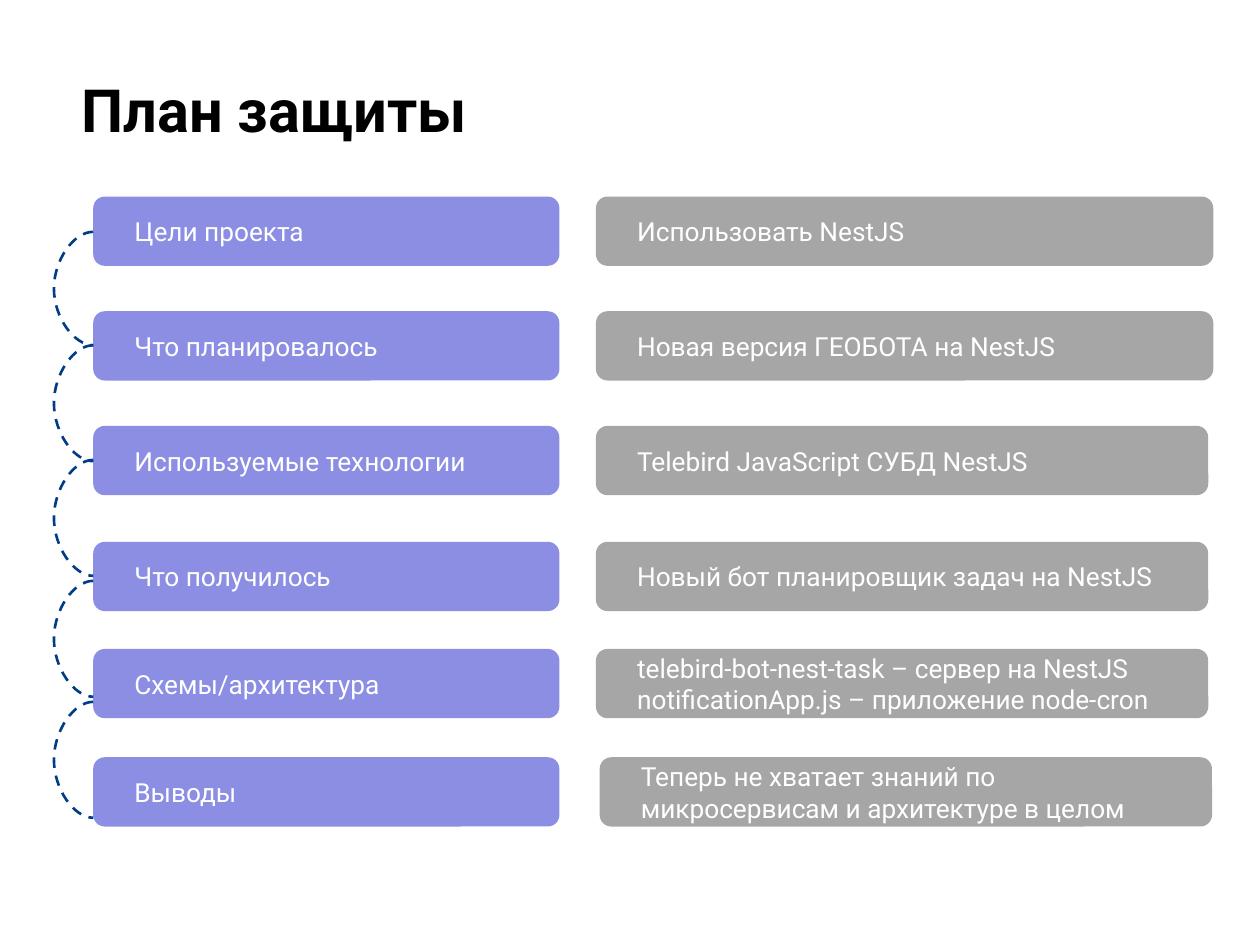
from pptx import Presentation
from pptx.dml.color import RGBColor
from pptx.enum.dml import MSO_LINE
from pptx.enum.shapes import MSO_CONNECTOR, MSO_SHAPE
from pptx.enum.text import MSO_ANCHOR, PP_ALIGN
from pptx.oxml.ns import qn
from pptx.util import Emu, Inches, Pt
from lxml import etree

CURVE = MSO_CONNECTOR.CURVE
ROUNDED = MSO_SHAPE.ROUNDED_RECTANGLE
DASH = MSO_LINE.DASH
TOP, MIDDLE = MSO_ANCHOR.TOP, MSO_ANCHOR.MIDDLE
LEFT = PP_ALIGN.LEFT

FONT = "Roboto"
PURPLE, GREY, NAVY = "8B8EE3", "A6A6A6", "013D85"
CARD_H = 0.55
TOPIC_X, TOPIC_W = 0.74, 3.7

# top, topic, answer, answer left, answer width
ROWS = [
    (1.56, "Цели проекта", "Использовать NestJS", 4.73, 4.9),
    (2.47, "Что планировалось", "Новая версия ГЕОБОТА на NestJS", 4.73, 4.9),
    (3.38, "Используемые технологии", "Telebird JavaScript СУБД NestJS", 4.73, 4.86),
    (4.3, "Что получилось", "Новый бот планировщик задач на NestJS", 4.73, 4.86),
    (5.15, "Схемы/архитектура",
     "telebird-bot-nest-task – сервер на NestJS\n"
     "notificationApp.js – приложение node-cron", 4.73, 4.86),
    (6.01, "Выводы",
     "Теперь не хватает знаний по микросервисам и архитектуре в целом",
     4.76, 4.86),
]
# top, height of each arc
ARCS = [(1.84, 0.9), (2.74, 0.92), (3.65, 0.92), (4.61, 0.92), (5.57, 0.92)]
ARC_BULGE = Inches(0.26)
ARC_W = Emu(600)  # nearly vertical, so the bulge is a large ratio of the width


def rgb(value):
    return RGBColor.from_string(value)


def format_text(tf, size, color, inset_x, anchor, bold=False):
    tf.word_wrap = True
    tf.vertical_anchor = anchor
    tf.margin_left = tf.margin_right = Inches(inset_x)
    tf.margin_top = tf.margin_bottom = Inches(0.1)
    for p in tf.paragraphs:
        p.alignment = LEFT
        for r in p.runs:
            r.font.name, r.font.size, r.font.bold = FONT, Pt(size), bold
            r.font.color.rgb = rgb(color)


def add_title(slide, text, left, top, width, height):
    sp = slide.shapes.title
    sp.left, sp.top = Inches(left), Inches(top)
    sp.width, sp.height = Inches(width), Inches(height)
    sp.text_frame.text = text
    format_text(sp.text_frame, 34, "000000", 0.1, TOP, bold=True)


def add_card(slide, text, fill, left, top, width):
    sp = slide.shapes.add_shape(ROUNDED, Inches(left), Inches(top),
                                Inches(width), Inches(CARD_H))
    sp.adjustments[0] = 0.167
    sp.shadow.inherit = False
    sp.fill.solid()
    sp.fill.fore_color.rgb = rgb(fill)
    sp.line.fill.background()
    sp.text_frame.text = text
    format_text(sp.text_frame, 15, "FFFFFF", 0.3, MIDDLE)


def add_arc(slide, left, top, height):
    x, y = Inches(left), Inches(top)
    line = slide.shapes.add_connector(CURVE, x, y, x + ARC_W, y + Inches(height))
    line.line.color.rgb = rgb(NAVY)
    line.line.width = Pt(1.5)
    line.line.dash_style = DASH
    sp_pr = line._element.spPr
    etree.SubElement(sp_pr, qn("a:effectLst"))
    # Bulge to the left of the cards
    guides = sp_pr.find(qn("a:prstGeom")).get_or_add_avLst()
    ratio = round(-ARC_BULGE / ARC_W * 100000)
    etree.SubElement(guides, qn("a:gd"), name="adj1", fmla=f"val {ratio}")


def main():
    prs = Presentation()
    prs.slide_width, prs.slide_height = Inches(10), Inches(7.5)
    slide = prs.slides.add_slide(prs.slide_layouts[5])

    add_title(slide, "План защиты", 0.55, 0.48, 9.32, 0.82)

    # Topics on the left, answers on the right
    for top, topic, answer, left, width in ROWS:
        add_card(slide, topic, PURPLE, TOPIC_X, top, TOPIC_W)
        add_card(slide, answer, GREY, left, top, width)

    # Dashed arcs from topic to topic
    for top, height in ARCS:
        add_arc(slide, TOPIC_X, top, height)

    prs.save("out.pptx")


if __name__ == "__main__":
    main()
